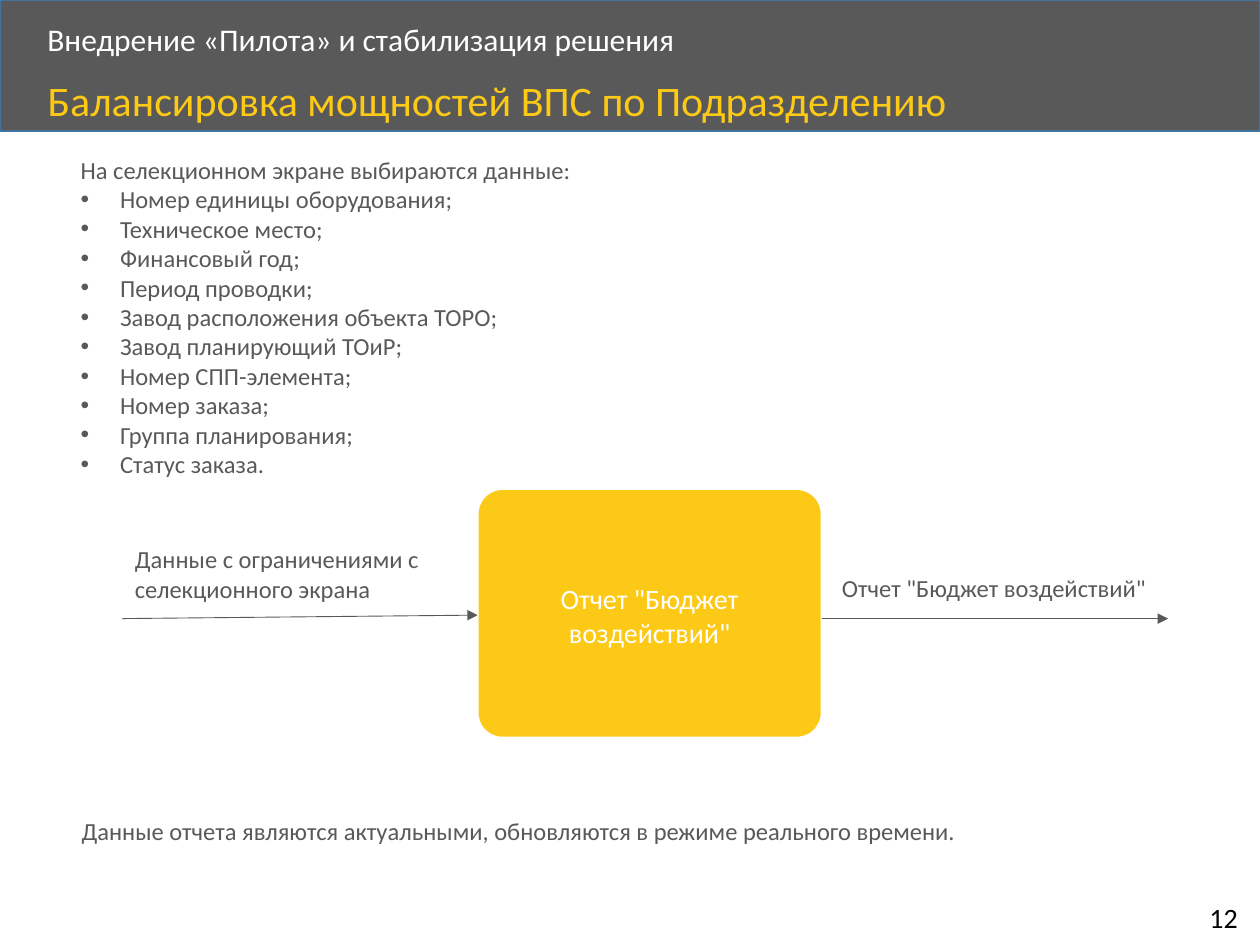
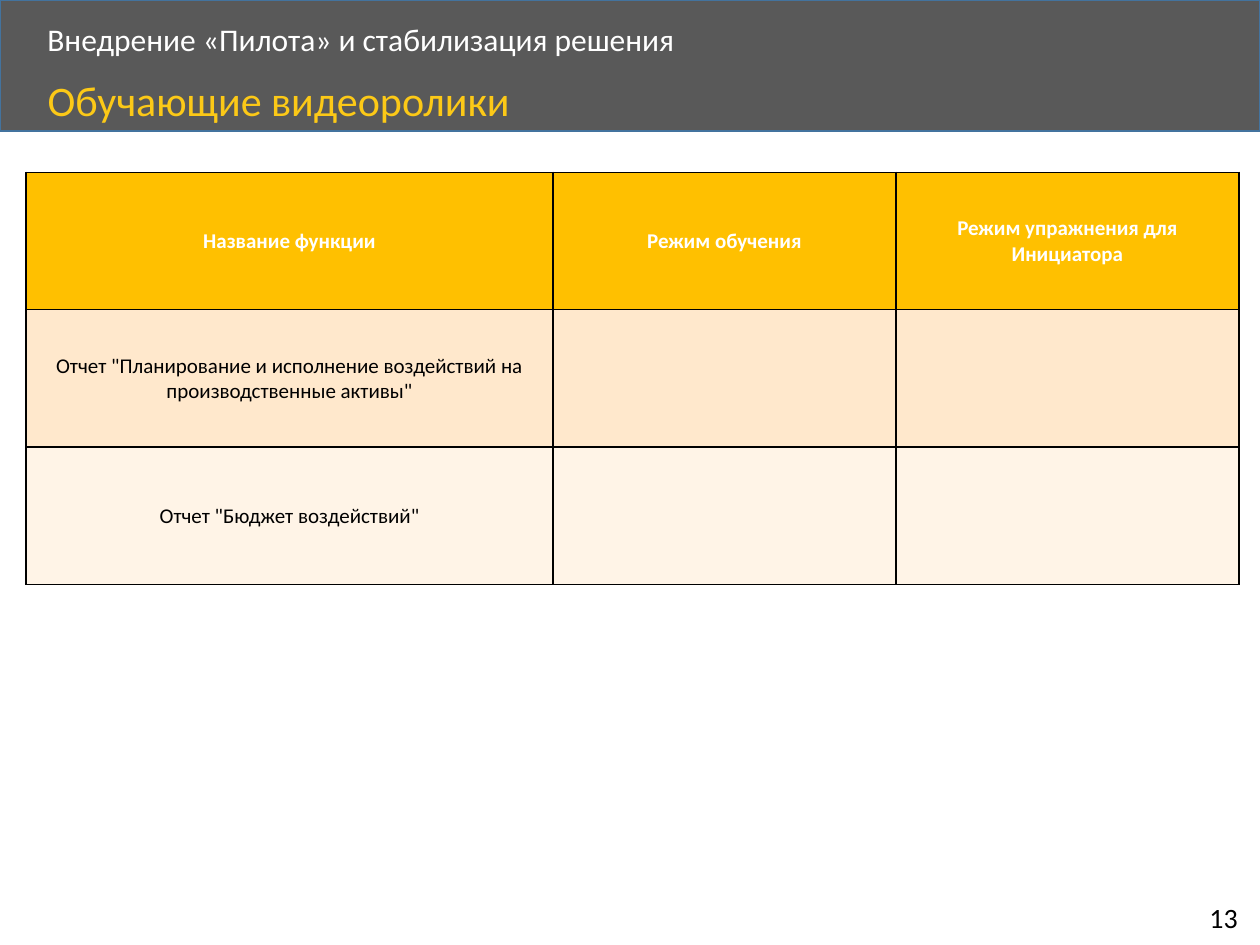
from collections import namedtuple
from dataclasses import dataclass

from lxml import etree
from pptx import Presentation
from pptx import util as u
from pptx.dml.color import RGBColor
from pptx.enum import shapes, text
from pptx.oxml import ns

Pt = u.Pt
Box = namedtuple("Box", "x y w h")


@dataclass(frozen=True)
class Theme:
    font: str = "Calibri"
    grey: str = "595959"
    yellow: str = "FCC917"
    white: str = "FFFFFF"
    black: str = "000000"
    band_line: str = "43739E"
    head_fill: str = "FFC000"
    row_fills: tuple = ("FFE8CC", "FFF4E7")
    title: int = 24
    section: int = 18
    label: int = 16
    body: int = 14
    cell: int = 12


T = Theme()
SLIDE = Box(0, 0, 720, 540)
FIRST_PAGE = 12
SECTION = "Внедрение «Пилота» и стабилизация решения"
REPORT = 'Отчет "Бюджет воздействий"'
INTRO = "На селекционном экране выбираются данные:"
FIELDS = [
    "Номер единицы оборудования;",
    "Техническое место;",
    "Финансовый год;",
    "Период проводки;",
    "Завод расположения объекта ТОРО;",
    "Завод планирующий ТОиР;",
    "Номер СПП-элемента;",
    "Номер заказа;",
    "Группа планирования;",
    "Статус заказа.",
]
VIDEO_ROWS = [
    ["Название функции", "Режим обучения", "Режим упражнения для Инициатора"],
    ['Отчет "Планирование и исполнение воздействий на производственные активы"', "", ""],
    [REPORT, "", ""],
]


# Shared helpers
def rgb(value):
    return RGBColor.from_string(value)


def pts(*values):
    return [Pt(v) for v in values]


def apply(obj, formats):
    for name, value in formats.items():
        setattr(obj, name, value)


def sub(parent, tag, **attrs):
    return etree.SubElement(parent, ns.qn(tag), attrs)


def add_bullet(p, indent):
    pPr = p._p.get_or_add_pPr()
    pPr.set("marL", str(Pt(indent)))
    pPr.set("indent", str(-Pt(indent)))
    sub(pPr, "a:buFont", typeface="Arial")
    sub(pPr, "a:buChar", char="•")


def write(tf, lines, size, color, bold=False, bullets_from=None,
          align=text.PP_ALIGN.LEFT, spacing=None, **frame):
    apply(tf, {"word_wrap": True, "auto_size": text.MSO_AUTO_SIZE.NONE, **frame})
    for i, line in enumerate(lines):
        p = tf.paragraphs[0] if i == 0 else tf.add_paragraph()
        p.add_run().text = line
        apply(p, {"alignment": align, "line_spacing": spacing})
        if bullets_from is not None and i >= bullets_from:
            add_bullet(p, 22.5)
        for r in p.runs:
            apply(r.font, {"name": T.font, "size": Pt(size), "bold": bold})
            r.font.color.rgb = rgb(color)


def add_text(s, box, lines, size=T.body, color=T.grey, **kw):
    sp = s.shapes.add_textbox(*pts(*box))
    write(sp.text_frame, lines, size, color, **kw)


def add_block(s, kind, box, fill, line):
    sp = s.shapes.add_shape(kind, *pts(*box))
    sp.shadow.inherit = False
    sp.fill.solid()
    sp.fill.fore_color.rgb = rgb(fill)
    sp.line.color.rgb = rgb(line)
    sp.line.width = Pt(1)
    return sp


def add_arrow(s, x1, y1, x2, y2):
    cn = s.shapes.add_connector(shapes.MSO_CONNECTOR.STRAIGHT, *pts(x1, y1, x2, y2))
    cn.line.color.rgb = rgb(T.grey)
    cn.line.width = Pt(0.5)
    sub(cn.line._get_or_add_ln(), "a:tailEnd", type="triangle")
    sub(cn._element.spPr, "a:effectLst")


# Header band, title and page number
def add_header(s, box, title):
    add_block(s, shapes.MSO_SHAPE.RECTANGLE, box, T.grey, T.band_line)
    x = box.x + 20
    add_text(s, Box(x, box.y + 10, 581, 27.5), [SECTION], T.section, T.white,
             spacing=0.9, vertical_anchor=text.MSO_ANCHOR.MIDDLE)
    sp = s.shapes.title
    sp.element.getparent().append(sp.element)  # bring in front of the band
    apply(sp, dict(zip(("left", "top", "width", "height"),
                       pts(x, box.y + 42.5, 624, 32.5))))
    write(sp.text_frame, [title], T.title, T.yellow, spacing=0.9,
          vertical_anchor=text.MSO_ANCHOR.TOP)


def new_slide(prs, title):
    s = prs.slides.add_slide(prs.slide_layouts[5])
    add_header(s, Box(SLIDE.x, SLIDE.y, SLIDE.w, 75), title)
    page = FIRST_PAGE + len(prs.slides) - 1
    add_text(s, Box(SLIDE.w - 36, SLIDE.h - 29, 34, 26.5), [str(page)], T.label, T.black)
    return s


# Data flow: input arrow, report block, output arrow
def add_flow(s, box):
    block = Box(box.x + 203, box.y, 196.5, box.h)
    right = block.x + block.w
    arrow_y = box.y + 74
    sp = add_block(s, shapes.MSO_SHAPE.ROUNDED_RECTANGLE, block, T.yellow, T.white)
    sp.adjustments[0] = 0.1
    write(sp.text_frame, [REPORT], T.label, T.white, align=text.PP_ALIGN.CENTER,
          vertical_anchor=text.MSO_ANCHOR.MIDDLE, margin_left=Pt(5),
          margin_right=Pt(5), margin_top=Pt(2), margin_bottom=Pt(0))
    add_arrow(s, right, arrow_y, box.x + box.w, arrow_y)
    add_arrow(s, box.x, arrow_y, block.x, arrow_y - 2)
    add_text(s, Box(right + 4.5, box.y + 44.5, 217.5, 24.5), [REPORT])
    add_text(s, Box(box.x, box.y + 28, 178.5, 41),
             ["Данные с ограничениями с селекционного экрана"])


# Table of training videos
def format_cell(cell, value, fill, color, bold):
    tcPr = cell._tc.get_or_add_tcPr()
    for side in ("a:lnL", "a:lnR", "a:lnT", "a:lnB"):
        ln = sub(tcPr, side, w=str(Pt(1)))
        sub(sub(ln, "a:solidFill"), "a:srgbClr", val=T.black)
    cell.fill.solid()
    cell.fill.fore_color.rgb = rgb(fill)
    cell.vertical_anchor = text.MSO_ANCHOR.MIDDLE
    if value:
        p = cell.text_frame.paragraphs[0]
        p.alignment = text.PP_ALIGN.CENTER
        r = p.add_run()
        r.text = value
        apply(r.font, {"name": T.font, "size": Pt(T.cell), "bold": bold})
        r.font.color.rgb = rgb(color)


def add_video_table(s, box, rows):
    table = s.shapes.add_table(len(rows), len(rows[0]), *pts(*box)).table
    apply(table, {"first_row": False, "horz_banding": False})
    name_w = 301
    mode_w = (box.w - name_w) / (len(rows[0]) - 1)
    for i, col in enumerate(table.columns):
        col.width = Pt(mode_w if i else name_w)
    for i, values in enumerate(rows):
        table.rows[i].height = Pt(box.h / len(rows))
        head = i == 0
        fill = T.head_fill if head else T.row_fills[(i - 1) % 2]
        for j, value in enumerate(values):
            cell = table.cell(i, j)
            format_cell(cell, value, fill, T.white if head else T.black, head)
            if not head:
                apply(cell, {"margin_left": Pt(0.7), "margin_right": Pt(0.7),
                             "margin_top": Pt(0.7), "margin_bottom": Pt(0)})


# Slides
def report_slide(prs):
    s = new_slide(prs, "Балансировка мощностей ВПС по Подразделению")
    add_flow(s, Box(70, 279.5, 597.5, 142))
    add_text(s, Box(39, 85, 663, 193.5), [INTRO, *FIELDS], bullets_from=1)
    add_text(s, Box(39.5, 462.5, 663, 24.5),
             ["Данные отчета являются актуальными, обновляются в режиме реального времени."])


def video_slide(prs):
    s = new_slide(prs, "Обучающие видеоролики")
    add_video_table(s, Box(15, 98.5, 693, 235.5), VIDEO_ROWS)


def main():
    prs = Presentation()
    prs.slide_width, prs.slide_height = pts(SLIDE.w, SLIDE.h)
    report_slide(prs)
    video_slide(prs)
    prs.save("out.pptx")


if __name__ == "__main__":
    main()
